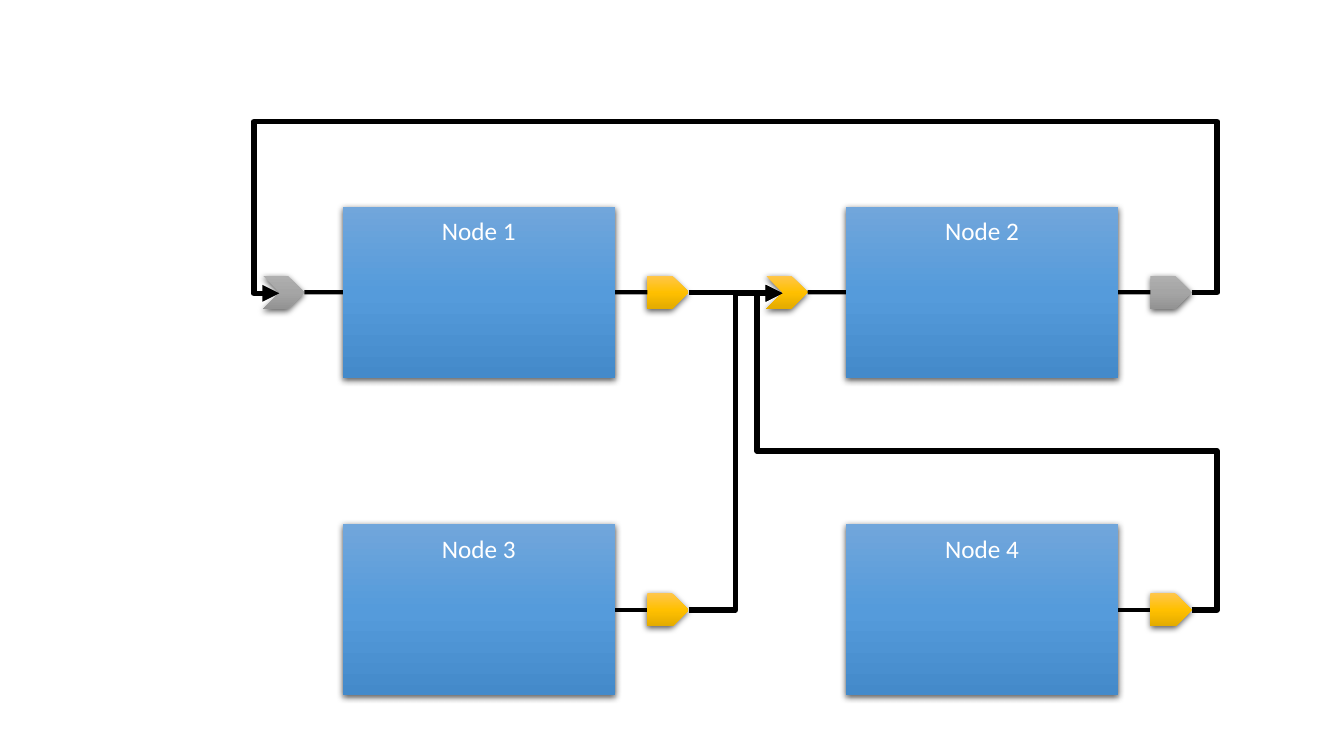
from copy import deepcopy
from dataclasses import dataclass

from lxml import etree
from pptx import Presentation
from pptx.dml.color import RGBColor
from pptx.enum.shapes import MSO_CONNECTOR, MSO_SHAPE
from pptx.enum.text import MSO_ANCHOR, PP_ALIGN
from pptx.oxml.ns import qn
from pptx.util import Inches, Pt

BOX = MSO_SHAPE.FLOWCHART_PROCESS
PLATE, NOTCH = MSO_SHAPE.PENTAGON, MSO_SHAPE.CHEVRON
LINE, ELBOW = MSO_CONNECTOR.STRAIGHT, MSO_CONNECTOR.ELBOW
TOP, CENTER = MSO_ANCHOR.TOP, PP_ALIGN.CENTER
LEFT, RIGHT = 1, 3


@dataclass(frozen=True)
class Theme:
    blue: tuple = ("71A6DB", "559BDB", "448ACA")
    gold: tuple = ("FFC64B", "FFC000", "E3AB00")
    gray: tuple = ("AFAFAF", "A5A5A5", "939393")
    ink: str = "000000"
    text: str = "FFFFFF"
    font: str = "Calibri"
    size: int = 18
    stub: int = 3
    wire: int = 4


@dataclass(frozen=True)
class Grid:
    left: float = 3.4
    top: float = 2.05
    col: float = 4.99
    row: float = 3.15
    wide: float = 2.7
    high: float = 1.7
    pin_w: float = 0.41
    pin_h: float = 0.33
    lead_in: float = 0.38
    lead_out: float = 0.32
    inset: float = 0.16
    drop: float = 0.01
    bend: float = 0.25
    loop: float = 1.18

    def node(self, col, row):
        return self.left + col * self.col, self.top + row * self.row

    def mid(self, row):
        return self.node(0, row)[1] + self.high / 2

    def plate(self, col):
        return self.node(col, 0)[0] + self.wide + self.lead_out

    def notch(self, col):
        return self.node(col, 0)[0] - self.lead_in - self.pin_w

    def start(self, col, row):
        return self.plate(col) + self.pin_w, self.mid(row)

    def end(self, col, row):
        return self.notch(col) + self.inset, self.mid(row) + self.drop


THEME, GRID = Theme(), Grid()


def add_tag(parent, tag, **attrs):
    return etree.SubElement(parent, qn(tag), attrs)


def add_solid(slide, kind, x, y, w, h, tones):
    """Add a shape with a vertical three-tone gradient and a soft shadow."""
    shape = slide.shapes.add_shape(kind, *map(Inches, (x, y, w, h)))
    shape.line.fill.background()
    shape.fill.gradient()
    shape.fill.gradient_angle = 270
    stops = shape._element.spPr.find(".//" + qn("a:gsLst"))
    stops.append(deepcopy(stops[-1]))
    for i, (stop, tone) in enumerate(zip(shape.fill.gradient_stops, tones)):
        stop.position = i / 2
        stop.color.rgb = RGBColor.from_string(tone)
    shape.shadow.inherit = False
    effects = shape._element.spPr.find(qn("a:effectLst"))
    shade = add_tag(effects, "a:outerShdw", blurRad=str(Pt(4.5)),
                    dist=str(Pt(1.5)), dir="5400000", algn="ctr", rotWithShape="0")
    color = add_tag(shade, "a:srgbClr", val=THEME.ink)
    add_tag(color, "a:alpha", val="63000")
    return shape


def add_line(slide, kind, start, end, width):
    line = slide.shapes.add_connector(kind, *map(Inches, (*start, *end)))
    line.line.color.rgb = RGBColor.from_string(THEME.ink)
    line.line.width = Pt(width)
    add_tag(line._element.spPr, "a:effectLst")
    return line


def add_stub(slide, first, last):
    stub = add_line(slide, LINE, (0, 0), (0, 0), THEME.stub)
    stub.begin_connect(first, RIGHT)
    stub.end_connect(last, LEFT)


def add_wire(slide, start, end, *turns):
    """Add an elbow arrow; turns are its inner x, y, x levels in inches."""
    wire = add_line(slide, ELBOW, start, end, THEME.wire)
    props = wire._element.spPr
    add_tag(props.find(qn("a:ln")), "a:tailEnd", type="triangle")
    geom = props.find(qn("a:prstGeom"))
    geom.set("prst", f"bentConnector{len(turns) + 2}")
    guides = geom.find(qn("a:avLst"))
    for i, turn in enumerate(turns):
        axis = i % 2
        share = (turn - start[axis]) / (end[axis] - start[axis])
        add_tag(guides, "a:gd", name=f"adj{i + 1}", fmla=f"val {round(share * 100000)}")


def add_node(slide, name, col, row, out, into=None):
    """Add a node with its output pin and, if into is given, an input pin."""
    g = GRID
    box = add_solid(slide, BOX, *g.node(col, row), g.wide, g.high, THEME.blue)
    frame = box.text_frame
    frame.vertical_anchor = TOP
    frame.margin_top = Inches(0.09)
    para = frame.paragraphs[0]
    para.text = name
    para.alignment = CENTER
    para.font.name, para.font.size = THEME.font, Pt(THEME.size)
    para.font.color.rgb = RGBColor.from_string(THEME.text)

    y = g.mid(row) - g.pin_h / 2
    plate = add_solid(slide, PLATE, g.plate(col), y, g.pin_w, g.pin_h, out)
    add_stub(slide, box, plate)
    if into:
        notch = add_solid(slide, NOTCH, g.notch(col), y, g.pin_w, g.pin_h, into)
        add_stub(slide, notch, box)


def main():
    deck = Presentation()
    deck.slide_width, deck.slide_height = Inches(13.33), Inches(7.5)
    slide = deck.slides.add_slide(deck.slide_layouts[6])

    add_node(slide, "Node 1", 0, 0, THEME.gold, THEME.gray)
    add_node(slide, "Node 2", 1, 0, THEME.gray, THEME.gold)
    add_node(slide, "Node 3", 0, 1, THEME.gold)
    add_node(slide, "Node 4", 1, 1, THEME.gold)

    goal, home = GRID.end(1, 0), GRID.end(0, 0)
    half = (GRID.start(0, 0)[0] + goal[0]) / 2
    far = GRID.start(1, 0)[0] + GRID.bend
    level = (GRID.mid(0) + GRID.mid(1)) / 2
    add_wire(slide, GRID.start(0, 0), goal, half)
    add_wire(slide, GRID.start(1, 0), home, far, GRID.loop, home[0] - GRID.bend)
    add_wire(slide, GRID.start(0, 1), goal, half)
    add_wire(slide, GRID.start(1, 1), goal, far, level, goal[0] - GRID.bend)
    deck.save("out.pptx")


if __name__ == "__main__":
    main()
